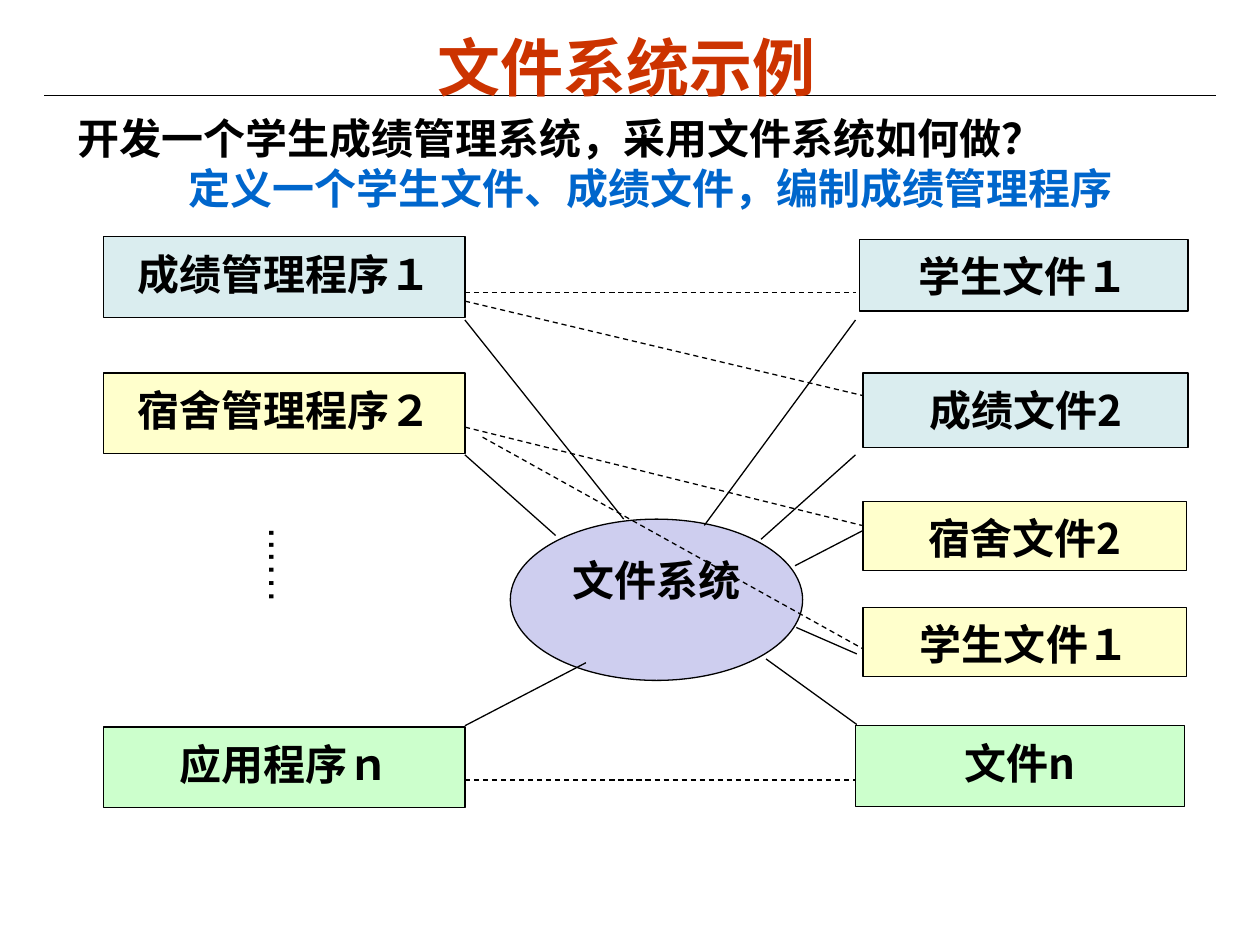
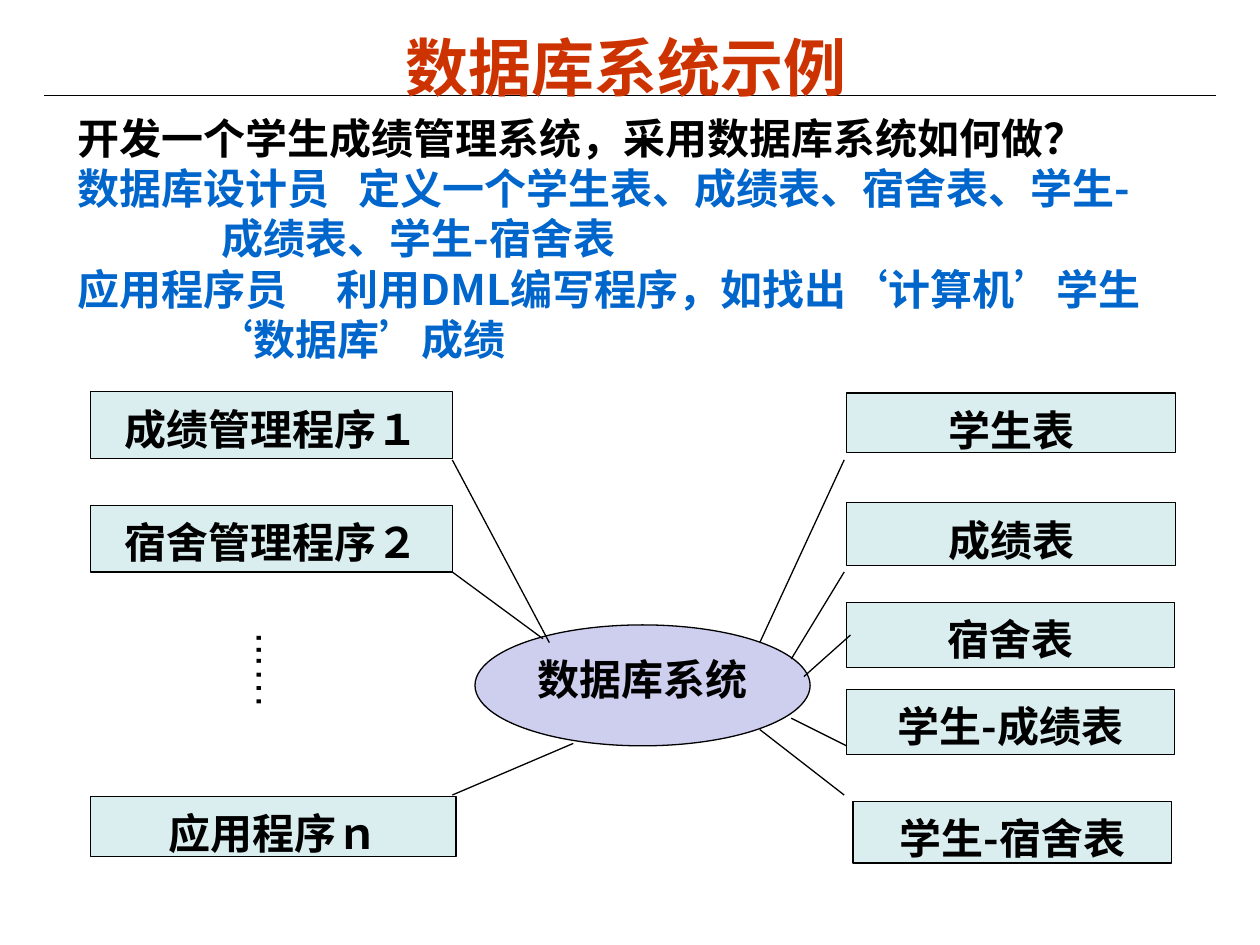
from typing import NamedTuple

from lxml.etree import SubElement
from pptx import Presentation
from pptx.dml.color import RGBColor
from pptx.enum.dml import MSO_LINE
from pptx.enum.shapes import MSO_CONNECTOR, MSO_SHAPE
from pptx.enum.text import PP_ALIGN
from pptx.oxml.ns import qn
from pptx.util import Inches, Pt

# Shared style
HAN, LATIN = "Noto Sans CJK SC", "Arial"
BLACK, RED, BLUE = "000000", "CC3300", "0066CC"
TEAL, CREAM, GREEN, LILAC = "DAEDEF", "FFFFCC", "CCFFCC", "CECEEF"
BODY, HEAD = 24, 36


class Line(NamedTuple):
    text: str
    color: str = BLUE
    indent: float = 0
    tab: float = 0


class Node(NamedTuple):
    text: str
    left: float
    top: float
    width: float
    height: float
    fill: str = TEAL
    kind: MSO_SHAPE = MSO_SHAPE.RECTANGLE


class Link(NamedTuple):
    x1: float
    y1: float
    x2: float
    y2: float
    dashed: bool = False


class Page(NamedTuple):
    title: str
    lines: list[Line]
    nodes: list[Node]
    links: list[Link]
    dots: tuple[float, float, float]


def paint(color: str) -> RGBColor:
    return RGBColor.from_string(color)


def write(para, text: str, size: int = BODY, color: str = BLACK,
          face: str = HAN, bold: bool = True) -> None:
    """Add one run with the same Latin and East Asian font."""
    run = para.add_run()
    run.text = text
    font = run.font
    font.name, font.size, font.bold = face, Pt(size), bold
    font.color.rgb = paint(color)
    SubElement(run._r.get_or_add_rPr(), qn("a:ea"), typeface=face)
    if face == HAN:
        para.line_spacing = Pt(size * 1.2)


def pad(frame, side: float, top: float) -> None:
    frame.margin_left = frame.margin_right = Inches(side)
    frame.margin_top, frame.margin_bottom = Inches(top), 0


def add_box(slide, left: float, top: float, width: float, height: float):
    box = slide.shapes.add_textbox(*map(Inches, (left, top, width, height)))
    box.text_frame.word_wrap = True
    return box.text_frame


def add_node(slide, node: Node) -> None:
    spot = map(Inches, (node.left, node.top, node.width, node.height))
    shape = slide.shapes.add_shape(node.kind, *spot)
    shape.shadow.inherit = False
    shape.fill.solid()
    shape.fill.fore_color.rgb = paint(node.fill)
    shape.line.color.rgb = paint(BLACK)
    shape.line.width = Pt(0.75)
    frame = shape.text_frame
    pad(frame, 0, 0.09)
    frame.vertical_anchor = 1
    para = frame.paragraphs[0]
    para.alignment = PP_ALIGN.CENTER
    write(para, node.text)


def add_link(slide, link: Link) -> None:
    ends = map(Inches, (link.x1, link.y1, link.x2, link.y2))
    line = slide.shapes.add_connector(MSO_CONNECTOR.STRAIGHT, *ends)
    line.line.color.rgb = paint(BLACK)
    line.line.width = Pt(0.75)
    if link.dashed:
        line.line.dash_style = MSO_LINE.DASH
    SubElement(line._element.spPr, qn("a:effectLst"))


def add_title(slide, text: str) -> None:
    add_link(slide, Link(0.35, 0.76, 9.65, 0.76))
    frame = add_box(slide, 0.37, 0.16, 9.2, 0.64)
    pad(frame, 0, 0.07)
    para = frame.paragraphs[0]
    para.alignment = PP_ALIGN.CENTER
    write(para, text, HEAD, RED)


def add_lines(slide, lines: list[Line]) -> None:
    frame = add_box(slide, 0.52, 0.8, 9.15, 0.1 + 0.4 * len(lines))
    pad(frame, 0.1, 0.09)
    for i, line in enumerate(lines):
        para = frame.add_paragraph() if i else frame.paragraphs[0]
        props = para._p.get_or_add_pPr()
        props.set("marL", str(Inches(line.indent)))
        if line.tab:
            tabs = SubElement(props, qn("a:tabLst"))
            SubElement(tabs, qn("a:tab"), pos=str(Inches(line.tab)), algn="l")
        write(para, line.text, color=line.color)


def add_dots(slide, left: float, top: float, height: float) -> None:
    frame = add_box(slide, left, top, 0.6, height)
    pad(frame, 0.07, 0)
    frame._txBody.bodyPr.set("vert", "eaVert")
    para = frame.paragraphs[0]
    para.alignment = PP_ALIGN.CENTER
    write(para, "...…", face=LATIN, bold=False)


def add_page(deck, page: Page) -> None:
    slide = deck.slides.add_slide(deck.slide_layouts[6])
    add_title(slide, page.title)
    add_lines(slide, page.lines)
    for node in page.nodes:
        add_node(slide, node)
    for link in page.links:
        add_link(slide, link)
    add_dots(slide, *page.dots)


FILES = Page(
    "文件系统示例",
    [Line("开发一个学生成绩管理系统，采用文件系统如何做？", BLACK),
     Line("定义一个学生文件、成绩文件，编制成绩管理程序", indent=0.88)],
    [
        # Programs
        Node("成绩管理程序１", 0.82, 1.88, 2.87, 0.64),
        Node("宿舍管理程序２", 0.82, 2.96, 2.87, 0.64, CREAM),
        Node("应用程序ｎ", 0.82, 5.77, 2.87, 0.64, GREEN),
        # Files
        Node("学生文件１", 6.82, 1.9, 2.61, 0.57),
        Node("成绩文件2", 6.85, 2.96, 2.58, 0.59),
        Node("宿舍文件2", 6.85, 3.98, 2.57, 0.55, CREAM),
        Node("学生文件１", 6.85, 4.82, 2.57, 0.55, CREAM),
        Node("文件n", 6.79, 5.76, 2.61, 0.64, GREEN),
        Node("文件系统", 4.05, 4.12, 2.32, 1.28, LILAC, MSO_SHAPE.OVAL),
    ],
    [
        # Program to file
        Link(3.69, 2.32, 6.79, 2.32, True),
        Link(3.69, 2.39, 6.85, 3.14, True),
        Link(3.69, 3.39, 6.84, 4.17, True),
        Link(3.83, 3.47, 6.85, 5.15, True),
        Link(3.69, 6.19, 6.79, 6.19, True),
        # To the system
        Link(3.69, 2.54, 4.95, 4.12),
        Link(3.69, 3.61, 4.41, 4.25),
        Link(3.69, 5.76, 4.65, 5.26),
        Link(6.79, 2.54, 5.59, 4.17),
        Link(6.79, 3.61, 6.04, 4.28),
        Link(6.85, 4.21, 6.31, 4.49),
        Link(6.8, 5.19, 6.32, 4.98),
        Link(6.8, 5.75, 6.08, 5.23),
    ],
    (1.94, 4.19, 1.14),
)

BASE = Page(
    "数据库系统示例",
    [Line("开发一个学生成绩管理系统，采用数据库系统如何做？", BLACK),
     Line("数据库设计员\t定义一个学生表、成绩表、宿舍表、学生-", tab=2.23),
     Line("成绩表、学生-宿舍表", indent=1.14),
     Line("应用程序员\t利用DML编写程序，如找出‘计算机’学生", tab=2.05),
     Line("‘数据库’成绩", indent=1.06)],
    [
        # Programs
        Node("成绩管理程序１", 0.72, 3.11, 2.87, 0.53),
        Node("宿舍管理程序２", 0.72, 4.01, 2.87, 0.53),
        Node("应用程序ｎ", 0.72, 6.32, 2.9, 0.48),
        # Tables
        Node("学生表", 6.72, 3.12, 2.61, 0.47),
        Node("成绩表", 6.72, 3.99, 2.61, 0.5),
        Node("宿舍表", 6.72, 4.78, 2.6, 0.52),
        Node("学生-成绩表", 6.72, 5.47, 2.6, 0.52),
        Node("学生-宿舍表", 6.77, 6.36, 2.53, 0.49),
        Node("数据库系统", 3.77, 4.96, 2.66, 0.96, LILAC, MSO_SHAPE.OVAL),
    ],
    [
        # To the system
        Link(3.59, 3.65, 4.36, 5.1),
        Link(3.59, 4.54, 4.31, 5.07),
        Link(3.59, 6.31, 4.55, 5.9),
        Link(6.7, 3.65, 6.03, 5.1),
        Link(6.7, 4.54, 6.28, 5.23),
        Link(6.75, 5.04, 6.38, 5.37),
        Link(6.72, 5.92, 6.28, 5.7),
        Link(6.7, 6.31, 6.03, 5.79),
    ],
    (1.84, 5.02, 0.94),
)


def main() -> None:
    deck = Presentation()
    deck.slide_width, deck.slide_height = Inches(10), Inches(7.5)
    for page in (FILES, BASE):
        add_page(deck, page)
    deck.save("out.pptx")


if __name__ == "__main__":
    main()
